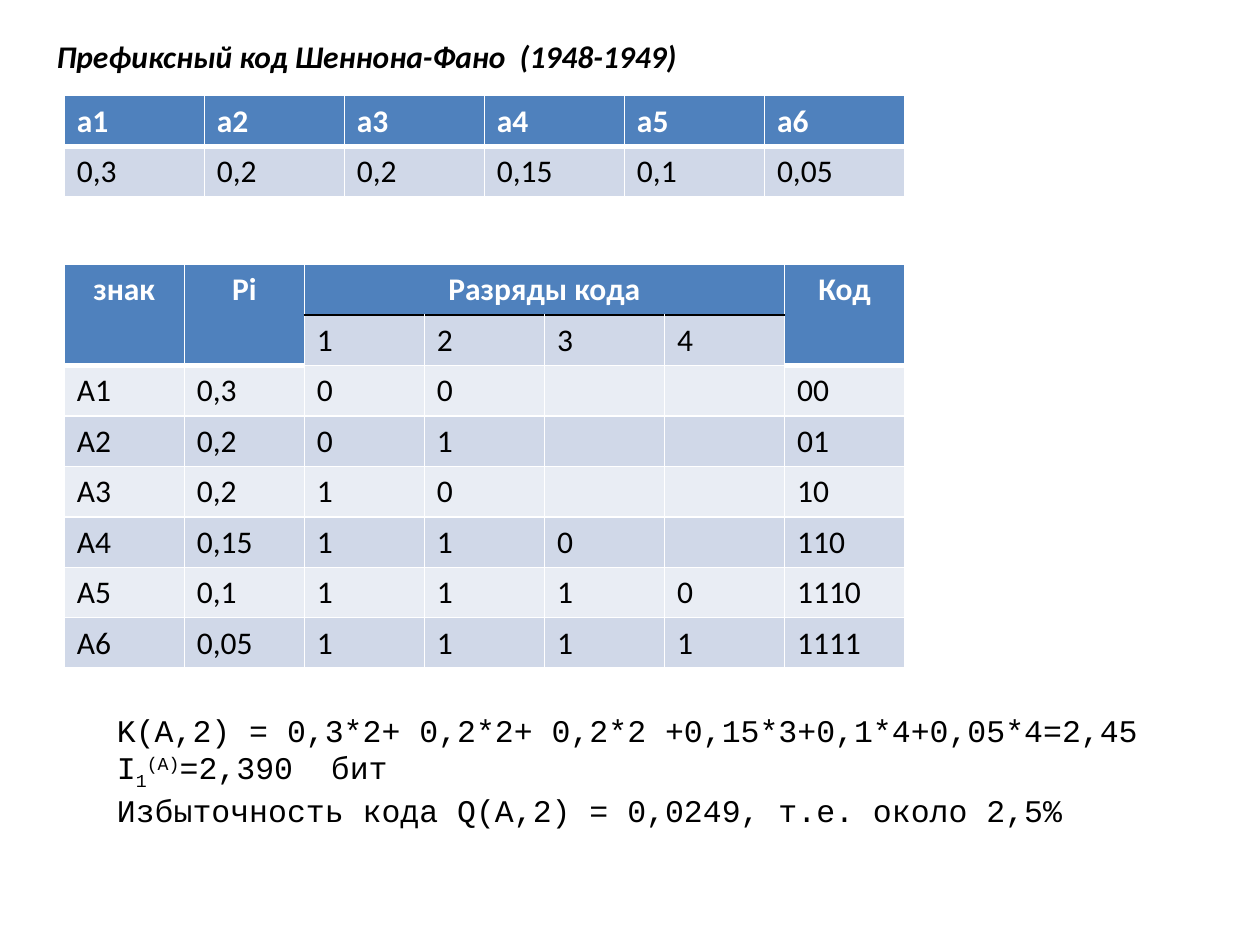
import lxml.etree
import pptx
import pptx.dml.color
import pptx.enum.text
import pptx.oxml.ns
import pptx.util

WHITE = pptx.dml.color.RGBColor(0xFF, 0xFF, 0xFF)
BLACK = pptx.dml.color.RGBColor(0x00, 0x00, 0x00)
HEADER_BLUE = pptx.dml.color.RGBColor(0x4F, 0x81, 0xBD)
BAND_DARK = pptx.dml.color.RGBColor(0xD0, 0xD8, 0xE8)
BAND_LIGHT = pptx.dml.color.RGBColor(0xE9, 0xED, 0xF4)

ALIGN = pptx.enum.text.PP_ALIGN
ANCHOR = pptx.enum.text.MSO_ANCHOR
TABLE_LEFT, TABLE_WIDTH, ROW_HEIGHT = 0.51, 6.67, 0.4
DIGIT_COLUMNS = range(2, 6)
THIN, THICK, DARK = (WHITE, 1), (WHITE, 3), (BLACK, 1)

PROBABILITIES = ["0,3", "0,2", "0,2", "0,15", "0,1", "0,05"]
CODES = ["00", "01", "10", "110", "1110", "1111"]


def write(paragraph, text, font="Calibri", color=BLACK, bold=False,
          italic=False, align=None, baseline=0):
    """Add one 18-point run to a paragraph."""
    if align is not None:
        paragraph.alignment = align
    run = paragraph.add_run()
    run.text = text
    run.font.name = font
    run.font.size = pptx.util.Pt(18)
    run.font.bold = bold
    run.font.italic = italic
    run.font.color.rgb = color
    if baseline:
        run.font._element.set("baseline", str(baseline * 1000))


def add_text_box(slide, left, top, width, height, wrap, anchor):
    box = slide.shapes.add_textbox(*map(pptx.util.Inches, (left, top, width, height)))
    frame = box.text_frame
    frame.word_wrap = wrap
    frame.vertical_anchor = anchor
    return frame


def set_borders(cell, **edges):
    """Draw the cell's edges, given as L, R, T, B = (colour, points)."""
    properties = cell._tc.get_or_add_tcPr()
    for side, (color, points) in edges.items():
        line = lxml.etree.SubElement(properties, pptx.oxml.ns.qn("a:ln" + side),
                                     w=str(pptx.util.Pt(points)))
        fill = lxml.etree.SubElement(line, pptx.oxml.ns.qn("a:solidFill"))
        lxml.etree.SubElement(fill, pptx.oxml.ns.qn("a:srgbClr"), val=str(color))


def add_grid(slide, top, rows, is_header, bottom_edge, header_align=None):
    """Add a banded table; None in rows marks a cell covered by a merge."""
    frame = slide.shapes.add_table(
        len(rows), len(rows[0]), pptx.util.Inches(TABLE_LEFT), pptx.util.Inches(top),
        pptx.util.Inches(TABLE_WIDTH), pptx.util.Inches(ROW_HEIGHT * len(rows)))
    table = frame.table
    for r, row in enumerate(rows):
        for c, text in enumerate(row):
            cell = table.cell(r, c)
            header = is_header(r, c)
            top_edge = bottom_edge(r - 1, c) if r else THIN
            set_borders(cell, L=THIN, R=THIN, T=top_edge, B=bottom_edge(r, c))
            cell.fill.solid()
            band = BAND_DARK if r % 2 else BAND_LIGHT
            cell.fill.fore_color.rgb = HEADER_BLUE if header else band
            if text:
                write(cell.text_frame.paragraphs[0], text, bold=header,
                      color=WHITE if header else BLACK,
                      align=header_align if header else None)
    return table


def add_probability_table(slide):
    signs = [f"а{i}" for i in range(1, 7)]
    add_grid(slide, 0.76, [signs, PROBABILITIES],
             is_header=lambda r, c: r == 0,
             bottom_edge=lambda r, c: THIN if r else THICK)


def add_code_table(slide):
    rows = [["знак", "Pi", "Разряды кода", None, None, None, "Код"],
            [None, None, "1", "2", "3", "4", None]]
    for i, (probability, code) in enumerate(zip(PROBABILITIES, CODES), start=1):
        rows.append([f"А{i}", probability, *code.ljust(4).replace(" ", "\0"), code])
    rows = [[None if text == "\0" else text for text in row] for row in rows]

    def bottom_edge(r, c):
        if c in DIGIT_COLUMNS:
            return THIN if r else DARK
        return THICK if r < 2 else THIN

    table = add_grid(slide, 2.1, rows, bottom_edge=bottom_edge, header_align=ALIGN.CENTER,
                     is_header=lambda r, c: r == 0 or (r == 1 and c not in DIGIT_COLUMNS))
    # Headings that span two rows, and the one over the four digits
    for c in (0, 1, 6):
        table.cell(0, c).merge(table.cell(1, c))
    table.cell(0, DIGIT_COLUMNS[0]).merge(table.cell(0, DIGIT_COLUMNS[-1]))


def add_results(slide):
    frame = add_text_box(slide, 0.83, 5.59, 8.34, 1.01, False, ANCHOR.TOP)
    lines = [
        [("K(A,2) = 0,3*2+ 0,2*2+ 0,2*2 +0,15*3+0,1*4+0,05*4=2,45", 0)],
        [("I", 0), ("1", -25), ("(A)", 30), ("=2,390  бит", 0)],
        [("Избыточность кода Q(A,2) = 0,0249, т.е. около 2,5%", 0)],
    ]
    for i, line in enumerate(lines):
        paragraph = frame.add_paragraph() if i else frame.paragraphs[0]
        for text, baseline in line:
            write(paragraph, text, font="Courier New", baseline=baseline)


def main():
    presentation = pptx.Presentation()
    presentation.slide_width = pptx.util.Inches(10)
    presentation.slide_height = pptx.util.Inches(7.5)
    slide = presentation.slides.add_slide(presentation.slide_layouts[6])

    # Title
    title = add_text_box(slide, 0.35, 0.29, 5.75, 0.3, True, ANCHOR.MIDDLE)
    write(title.paragraphs[0], "Префиксный код Шеннона-Фано  (1948-1949)",
          bold=True, italic=True, align=ALIGN.JUSTIFY)

    # Tables and results
    add_probability_table(slide)
    add_code_table(slide)
    add_results(slide)
    presentation.save("out.pptx")


if __name__ == "__main__":
    main()
